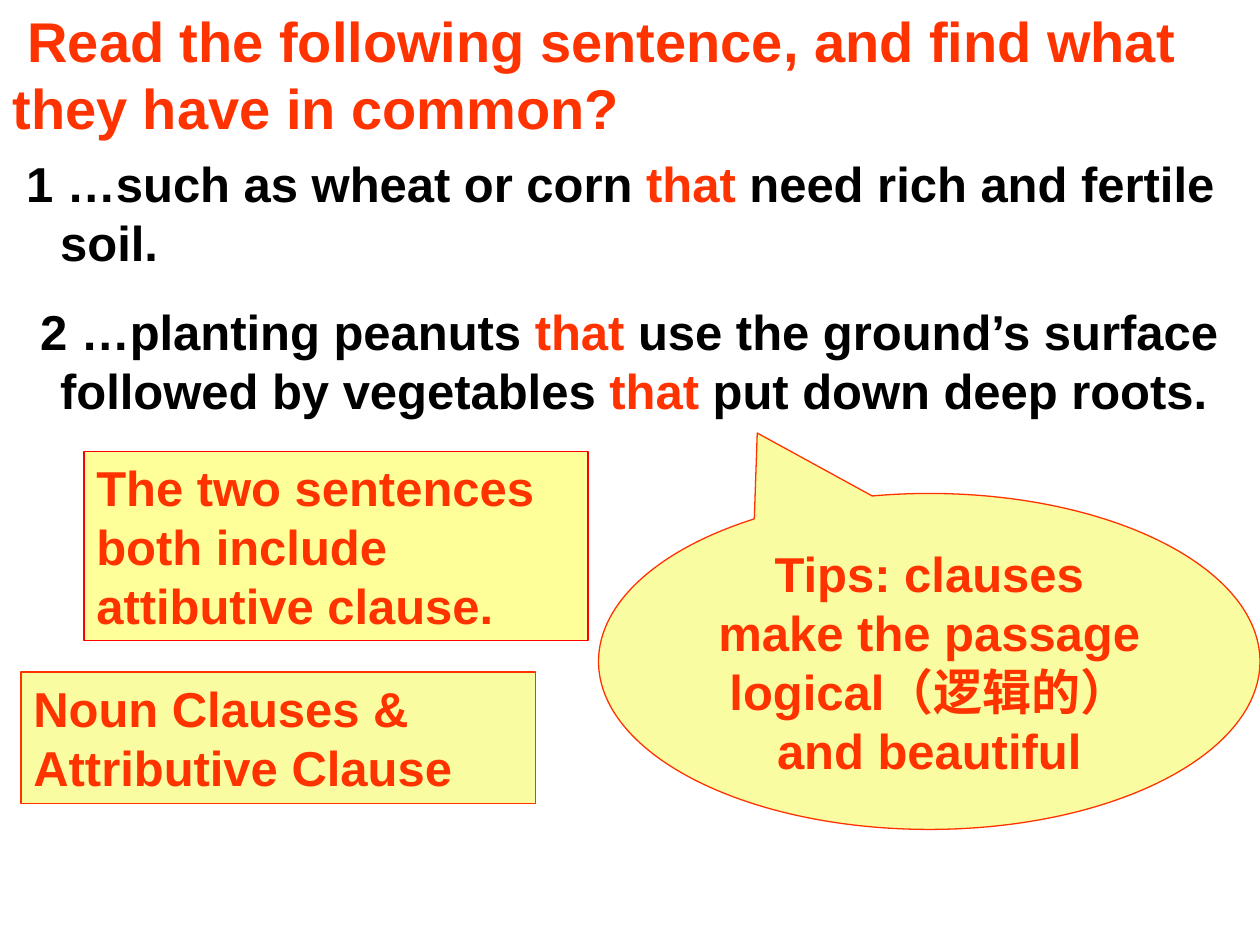
from pptx import Presentation
from pptx.dml.color import RGBColor
from pptx.enum.shapes import MSO_SHAPE
from pptx.enum.text import MSO_ANCHOR, MSO_AUTO_SIZE, PP_ALIGN
from pptx.util import Inches, Pt

RECTANGLE, CALLOUT = MSO_SHAPE.RECTANGLE, MSO_SHAPE.OVAL_CALLOUT
TOP, MIDDLE = MSO_ANCHOR.TOP, MSO_ANCHOR.MIDDLE
LEFT, CENTER = PP_ALIGN.LEFT, PP_ALIGN.CENTER
GROW, FIXED = MSO_AUTO_SIZE.SHAPE_TO_FIT_TEXT, MSO_AUTO_SIZE.NONE

SLIDE_WIDTH, SLIDE_HEIGHT = 10, 7.5
COLUMNS, ROWS = 120, 90

THEME = {
    "font": "Arial", "title_size": 32, "body_size": 28, "line_width": 0.75,
    "black": "000000", "accent": "FF3300", "red": "FF0000",
    "cream": "FAFCA2", "yellow": "FFFF99",
}

# Grid places are column, row, columns wide, rows high.
# Text between asterisks takes the accent colour.
TEXTS = [
    {"place": (0, 14, 120, 26.5), "size": "body_size", "color": "black",
     "margin": 0.38, "gap": 17.5, "paragraphs": [
         (-0.27, "1 …such as wheat or corn *that* need rich and fertile soil."),
         (-0.16, "2 …planting peanuts *that* use the ground’s surface "
                 "followed by vegetables *that* put down deep roots."),
     ]},
    {"place": (0, 0, 120, 14), "size": "title_size", "color": "accent",
     "margin": 0, "gap": 0, "paragraphs": [
         (0.12, "Read the following sentence, and find what they have in common?"),
     ]},
]
NOTES = [
    {"place": (57, 47, 63, 32), "shape": CALLOUT, "pointer": (-0.26, -0.68),
     "fill": "cream", "line": "accent",
     "text": "Tips: clauses make the passage logical（逻辑的） and beautiful"},
    {"place": (2, 64, 49, 12.5), "shape": RECTANGLE,
     "fill": "cream", "line": "accent",
     "text": "Noun Clauses & Attributive Clause"},
    {"place": (8, 43, 48, 18), "shape": RECTANGLE,
     "fill": "yellow", "line": "red",
     "text": "The two sentences both include attibutive clause."},
]


def color(name):
    return RGBColor.from_string(THEME[name])


def apply(target, **values):
    for name, value in values.items():
        setattr(target, name, value)


def grid_box(place):
    """Turn grid cells into left, top, width and height."""
    cell_width, cell_height = SLIDE_WIDTH / COLUMNS, SLIDE_HEIGHT / ROWS
    return [Inches(cells * unit)
            for cells, unit in zip(place, (cell_width, cell_height) * 2)]


def write(para, text, size, base):
    for index, part in enumerate(text.split("*")):
        span = para.add_run()
        span.text = part
        apply(span.font, name=THEME["font"], size=Pt(THEME[size]), bold=True)
        span.font.color.rgb = color("accent" if index % 2 else base)


def add_text(page, item):
    frame = page.shapes.add_textbox(*grid_box(item["place"])).text_frame
    apply(frame, word_wrap=True, auto_size=GROW)
    for index, (indent, text) in enumerate(item["paragraphs"]):
        para = frame.add_paragraph() if index else frame.paragraphs[0]
        para.space_before = Pt(item["gap"] if index else 0)
        properties = para._p.get_or_add_pPr()
        properties.set("marL", str(Inches(item["margin"])))
        properties.set("indent", str(Inches(indent)))
        write(para, text, item["size"], item["color"])


def add_note(page, item):
    box = page.shapes.add_shape(item["shape"], *grid_box(item["place"]))
    box.shadow.inherit = False
    box.fill.solid()
    box.fill.fore_color.rgb = color(item["fill"])
    box.line.color.rgb = color(item["line"])
    box.line.width = Pt(THEME["line_width"])
    for index, value in enumerate(item.get("pointer", ())):
        box.adjustments[index] = value

    is_callout = item["shape"] == CALLOUT
    frame = box.text_frame
    apply(frame, word_wrap=True, auto_size=FIXED if is_callout else GROW,
          vertical_anchor=MIDDLE if is_callout else TOP)
    para = frame.paragraphs[0]
    para.alignment = CENTER if is_callout else LEFT
    write(para, item["text"], "body_size", "accent")


def main():
    deck = Presentation()
    apply(deck, slide_width=Inches(SLIDE_WIDTH), slide_height=Inches(SLIDE_HEIGHT))
    page = deck.slides.add_slide(deck.slide_layouts[6])
    for item in TEXTS:
        add_text(page, item)
    for item in NOTES:
        add_note(page, item)
    deck.save("out.pptx")


if __name__ == "__main__":
    main()
